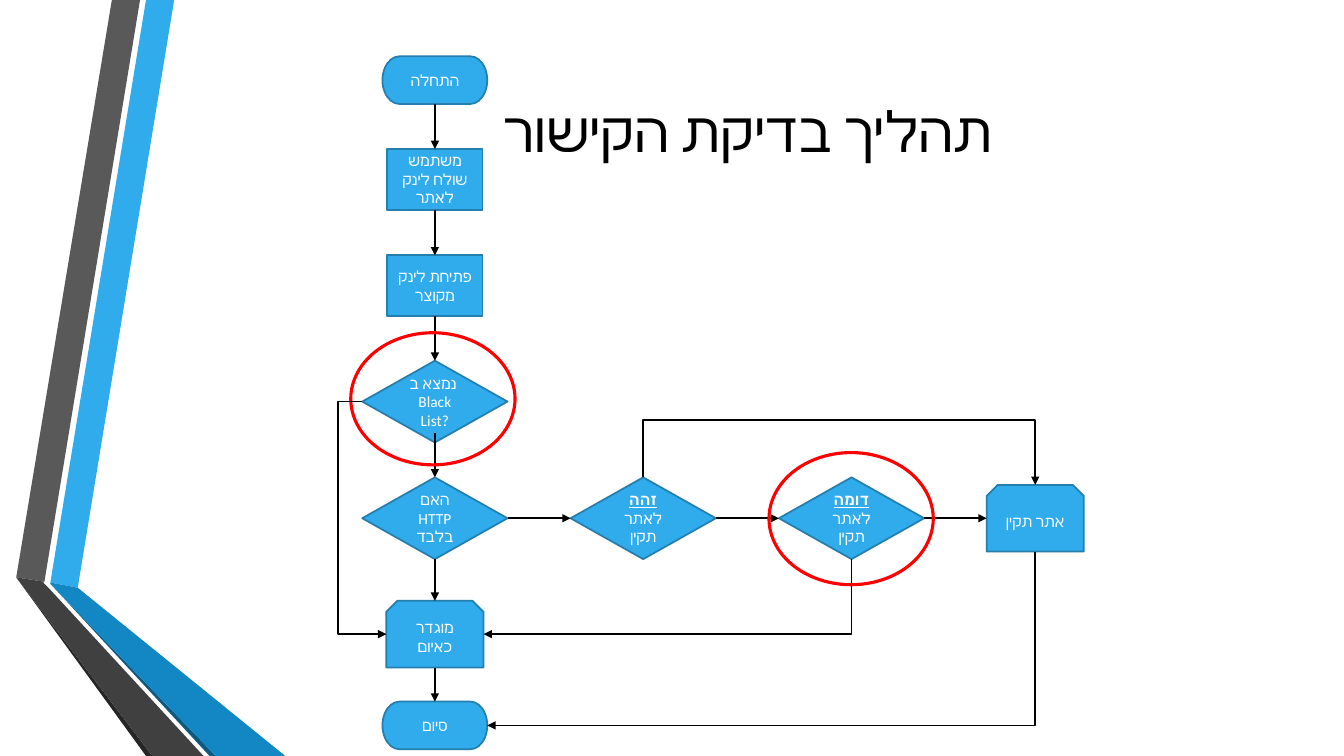
from lxml import etree
from pptx import Presentation
from pptx.dml.color import RGBColor
from pptx.enum.shapes import MSO_CONNECTOR, MSO_SHAPE
from pptx.enum.text import MSO_ANCHOR, PP_ALIGN
from pptx.oxml.ns import qn
from pptx.util import Cm, Pt

STRAIGHT, ELBOW = MSO_CONNECTOR.STRAIGHT, MSO_CONNECTOR.ELBOW
DECISION = MSO_SHAPE.FLOWCHART_DECISION
TERMINATOR = MSO_SHAPE.FLOWCHART_TERMINATOR
RECT, OVAL = MSO_SHAPE.RECTANGLE, MSO_SHAPE.OVAL
SNIP = MSO_SHAPE.SNIP_2_SAME_RECTANGLE
CENTER, MIDDLE = PP_ALIGN.CENTER, MSO_ANCHOR.MIDDLE
TOP, LEFT, BOTTOM, RIGHT = range(4)

COLORS = {
    "blue": "30ACEC", "outline": "247FAF", "blue_tail": "1287C3",
    "blue_edge": "0C5A82", "grey": "595959", "grey_tail": "404040",
    "grey_edge": "262626", "black": "000000", "white": "FFFFFF", "red": "FF0000",
}
# Width and height of each kind of step, in cm
SIZES = {DECISION: (3.66, 2.06), TERMINATOR: (2.64, 1.2),
         RECT: (2.4, 1.53), SNIP: (2.45, 1.68)}


def rgb(name):
    return RGBColor.from_string(COLORS[name])


def side(s, i):
    """Middle of a side of a shape."""
    x, y = s.left + s.width // 2, s.top + s.height // 2
    return ((x, s.top), (s.left, y), (x, s.top + s.height), (s.left + s.width, y))[i]


class FlowSlide:
    font = "Calibri"
    text_size = 11
    line_width = 1.25

    def __init__(self, prs):
        self.slide = prs.slides.add_slide(prs.slide_layouts[5])
        self.shapes = self.slide.shapes

    def style_run(self, r, size, color):
        r.font.name = self.font
        r.font.size = Pt(size)
        r.font.color.rgb = rgb(color)
        etree.SubElement(r.font._element, qn("a:cs"), typeface=self.font)

    def title(self, text, x, y, w, h):
        sp = self.shapes.title
        sp.left, sp.top, sp.width, sp.height = Cm(x), Cm(y), Cm(w), Cm(h)
        tf = sp.text_frame
        tf.text = text
        tf.vertical_anchor = MIDDLE
        p = tf.paragraphs[0]
        p.alignment = CENTER
        p._p.get_or_add_pPr().set("rtl", "1")
        self.style_run(p.runs[0], 40, "black")

    def polygon(self, color, points):
        start, *rest = [(Cm(x), Cm(y)) for x, y in points]
        fb = self.shapes.build_freeform(*start)
        fb.add_line_segments(rest)
        s = fb.convert_to_shape()
        s.shadow.inherit = False
        s.fill.solid()
        s.fill.fore_color.rgb = rgb(color)
        s.line.fill.background()

    def centered(self, kind, cx, cy, w, h, line, width):
        s = self.shapes.add_shape(kind, Cm(cx - w / 2), Cm(cy - h / 2), Cm(w), Cm(h))
        s.shadow.inherit = False
        s.line.color.rgb = rgb(line)
        s.line.width = Pt(width)
        return s

    def step(self, kind, cx, cy, text, lead=""):
        s = self.centered(kind, cx, cy, *SIZES[kind], "outline", self.line_width)
        s.fill.solid()
        s.fill.fore_color.rgb = rgb("blue")
        tf = s.text_frame
        tf.text = lead or text
        tf.word_wrap = True
        tf.vertical_anchor = MIDDLE
        if lead:
            r = tf.paragraphs[0].runs[0]
            r.font.bold = r.font.underline = True
            tf.paragraphs[0].add_run().text = text
        for p in tf.paragraphs:
            p.alignment = CENTER
            for r in p.runs:
                self.style_run(r, self.text_size, "white")
        return s

    def ring(self, cx, cy):
        s = self.centered(OVAL, cx, cy, 4.14, 3.33, "red", 2.25)
        s.fill.background()

    def connector(self, kind, start, end):
        c = self.shapes.add_connector(kind, *start, *end)
        c.line.color.rgb = rgb("black")
        c.line.width = Pt(self.line_width)
        etree.SubElement(c.line._get_or_add_ln(), qn("a:tailEnd"), type="triangle")
        etree.SubElement(c._element.spPr, qn("a:effectLst"))
        return c

    def arrow(self, a, i, b, j, overlap=0):
        x, y = side(a, i)
        c = self.connector(STRAIGHT, (x, y - Cm(overlap)), side(b, j))
        # Snipped rectangles number their connection sites differently
        if a.auto_shape_type != SNIP and not overlap:
            c.begin_connect(a, i)
        if b.auto_shape_type != SNIP:
            c.end_connect(b, j)

    def elbow(self, a, i, b, j, lane=None):
        """Bent arrow; lane is where its middle leg runs, in cm."""
        start, end = side(a, i), side(b, j)
        c = self.connector(ELBOW, start, end)
        spPr = c._element.spPr
        geom = spPr.find(qn("a:prstGeom"))
        axis = 0 if i in (LEFT, RIGHT) else 1
        if lane is None:
            geom.set("prst", "bentConnector2")
        else:
            adj = (Cm(lane) - start[axis]) / (end[axis] - start[axis])
            av = geom.find(qn("a:avLst"))
            etree.SubElement(av, qn("a:gd"), name="adj1", fmla=f"val {round(adj * 100000)}")
        if axis == 1:
            # A vertical start is a quarter turn about the same centre
            cx, cy = c.left + c.width // 2, c.top + c.height // 2
            c.width, c.height = c.height, c.width
            c.left, c.top = cx - c.width // 2, cy - c.height // 2
            xfrm = spPr.find(qn("a:xfrm"))
            rightward = end[0] > start[0]
            xfrm.set("rot", str((270 if rightward else 90) * 60000))
            xfrm.set("flipH", "1" if rightward else "0")
            xfrm.set("flipV", "0")


def main():
    prs = Presentation()
    prs.slide_width, prs.slide_height = Cm(33.87), Cm(19.05)
    flow = FlowSlide(prs)

    # Ribbons on the left
    flow.polygon("blue", [(1.27, 14.68), (1.96, 14.81), (4.39, 0), (3.68, 0)])
    flow.polygon("grey", [(3.53, 0), (2.82, 0), (0.41, 14.55), (1.12, 14.66)])
    flow.polygon("grey_edge", [(0.41, 14.55), (3.68, 19.05), (3.84, 19.05)])
    flow.polygon("blue_edge", [(1.27, 14.71), (5.28, 19.05), (5.44, 19.05)])
    flow.polygon("blue_tail", [(1.27, 14.68), (1.27, 14.71), (5.44, 19.05),
                               (7.19, 19.05), (1.96, 14.81)])
    flow.polygon("grey_tail", [(5.13, 19.05), (1.22, 14.81), (1.09, 14.68),
                               (1.12, 14.66), (0.41, 14.55), (3.84, 19.05)])

    flow.title("תהליך בדיקת הקישור", 4.93, 0.84, 27.84, 4.88)

    # Steps: one main column and one row of checks
    col, row = 10.96, 13.06
    start = flow.step(TERMINATOR, col, 2.02, "התחלה")
    send = flow.step(RECT, col, 4.52, "משתמש שולח לינק לאתר")
    expand = flow.step(RECT, col, 7.2, "פתיחת לינק מקוצר")
    listed = flow.step(DECISION, col, 10.12, "נמצא ב \nBlack List?")
    http = flow.step(DECISION, col, row, "האם HTTP\nבלבד")
    threat = flow.step(SNIP, col, 15.98, "מוגדר כאיום")
    finish = flow.step(TERMINATOR, col, 18.28, "סיום")
    same = flow.step(DECISION, 16.21, row, "לאתר תקין", lead="זהה ")
    similar = flow.step(DECISION, 21.46, row, "לאתר תקין", lead="דומה ")
    valid = flow.step(SNIP, 26.09, row, "אתר תקין")

    # Straight arrows
    for a, b in ((start, send), (send, expand), (expand, listed),
                 (http, threat), (threat, finish)):
        flow.arrow(a, BOTTOM, b, TOP)
    flow.arrow(listed, BOTTOM, http, TOP, overlap=0.23)
    for a, b in ((http, same), (same, similar), (similar, valid)):
        flow.arrow(a, RIGHT, b, LEFT)

    # Highlighted checks
    flow.ring(10.91, 10.05)
    flow.ring(21.45, 13.07)

    # Bent arrows
    flow.elbow(listed, LEFT, threat, LEFT, lane=8.51)
    flow.elbow(similar, BOTTOM, threat, RIGHT)
    flow.elbow(same, TOP, valid, TOP, lane=10.59)
    flow.elbow(valid, BOTTOM, finish, RIGHT)

    prs.save("out.pptx")


if __name__ == "__main__":
    main()
